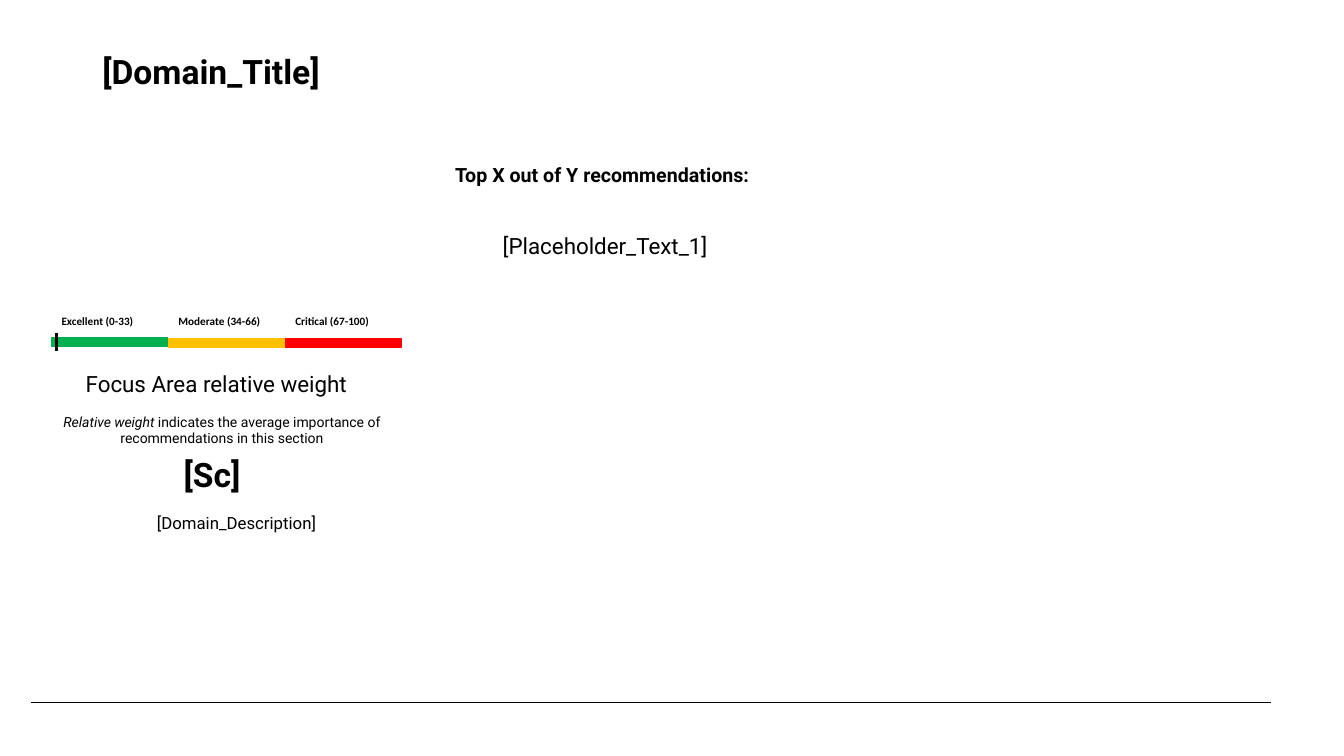
import pptx
import pptx.util
import pptx.dml.color
import pptx.enum.shapes
import pptx.enum.text
import pptx.oxml.ns
from lxml import etree

Pt = pptx.util.Pt
COLORS = {"black": "000000", "green": "00B050", "amber": "FFC000", "red": "FF0000"}


def rgb(name):
    return pptx.dml.color.RGBColor.from_string(COLORS[name])


def style_span(span, size, font="Roboto", bold=False, italic=False):
    span.font.size = Pt(size)
    span.font.name = font
    span.font.bold = bold
    span.font.italic = italic
    span.font.color.rgb = rgb("black")


deck = pptx.Presentation()
deck.slide_width, deck.slide_height = Pt(960), Pt(540)
page = deck.slides.add_slide(deck.slide_layouts[6])

# Text boxes: left, top, width, height, size, bold, centred, runs as (text, italic)
texts = [
    (66, 33, 796, 80, 24, True, False, [("[Domain_Title]", False)]),
    (40.5, 260.5, 228, 26.5, 16, False, True, [("Focus Area relative weight", False)]),
    (108.5, 321, 86, 36, 24, True, True, [("[Sc]", False)]),
    (46, 363, 246, 22, 12, False, True, [("[Domain_Description]", False)]),
    (318, 112.5, 484, 24, 14, True, False, [("Top X out of Y recommendations:", False)]),
    (352, 162.5, 554, 26.5, 16, False, False, [("[Placeholder_Text_1]", False)]),
    (0, 291.5, 317, 31.5, 10, False, True, [
        ("Relative weight ", True),
        ("indicates the average importance of recommendations in this section", False),
    ]),
]
for left, top, width, height, size, bold, centred, runs in texts:
    box = page.shapes.add_textbox(Pt(left), Pt(top), Pt(width), Pt(height))
    box.text_frame.word_wrap = True
    para = box.text_frame.paragraphs[0]
    if centred:
        para.alignment = pptx.enum.text.PP_ALIGN.CENTER
    for words, italic in runs:
        span = para.add_run()
        span.text = words
        style_span(span, size, bold=bold, italic=italic)

# Weight scale: three coloured bands under a row of labels
SCALE_LEFT, BAND_STEP = 36.75, 83.5
bands = [
    ("Excellent (0-33)", "green", 241.2),
    ("Moderate (34-66)", "amber", 241.9),
    ("Critical (67-100)", "red", 241.9),
]
table_frame = page.shapes.add_table(
    1, len(bands), Pt(SCALE_LEFT), Pt(221), Pt(BAND_STEP * len(bands)), Pt(16.5))
table = table_frame.table
table.first_row = table.horz_banding = False

for index, (label, color, top) in enumerate(bands):
    bar = page.shapes.add_shape(
        pptx.enum.shapes.MSO_SHAPE.RECTANGLE,
        Pt(SCALE_LEFT + index * BAND_STEP), Pt(top), Pt(82.8), Pt(6.5))
    bar.shadow.inherit = False
    bar.fill.solid()
    bar.fill.fore_color.rgb = rgb(color)
    bar.line.color.rgb = rgb(color)
    bar.line.width = Pt(1)

    cell = table.cell(0, index)
    cell.fill.background()
    cell.text = label
    style_span(cell.text_frame.paragraphs[0].runs[0], 8, font="Calibri", bold=True)

# Footer rule and score marker: start, end, width
rules = [
    (22.5, 502, 908, 502, 0.5),
    (40.3, 237.6, 40.3, 250.6, 2.5),
]
for start_x, start_y, end_x, end_y, width in rules:
    rule = page.shapes.add_connector(
        pptx.enum.shapes.MSO_CONNECTOR.STRAIGHT,
        Pt(start_x), Pt(start_y), Pt(end_x), Pt(end_y))
    rule.line.color.rgb = rgb("black")
    rule.line.width = Pt(width)
    etree.SubElement(rule._element.spPr, pptx.oxml.ns.qn("a:effectLst"))

deck.save("out.pptx")
